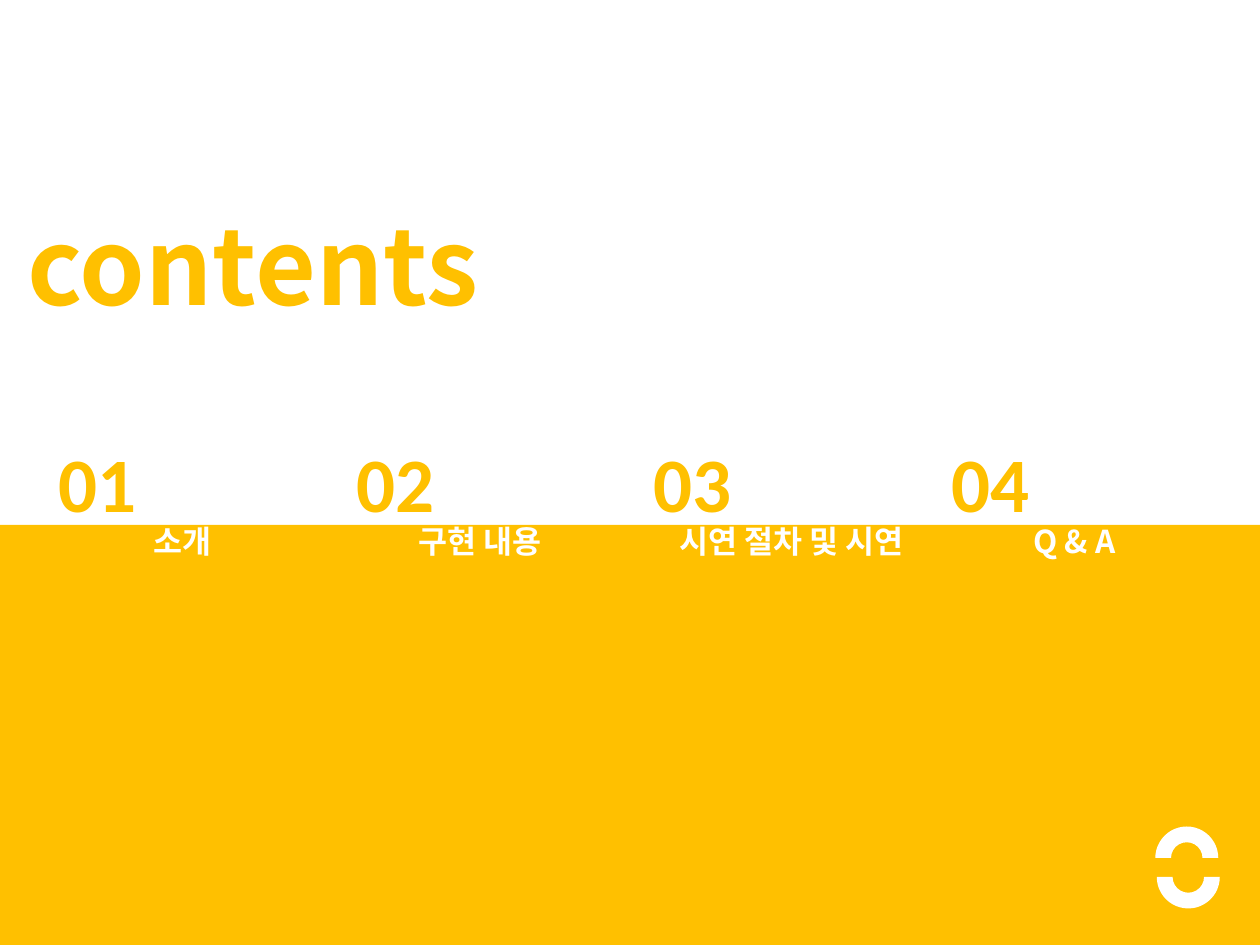
"""Build a contents slide with four numbered sections above a yellow band."""
from lxml import etree
from pptx import Presentation
from pptx.dml.color import RGBColor
from pptx.enum.shapes import MSO_SHAPE
from pptx.enum.text import MSO_ANCHOR, MSO_AUTO_SIZE, PP_ALIGN
from pptx.oxml.ns import qn
from pptx.util import Pt

RECTANGLE, BLOCK_ARC = MSO_SHAPE.RECTANGLE, MSO_SHAPE.BLOCK_ARC
LEFT, CENTER = PP_ALIGN.LEFT, PP_ALIGN.CENTER
TOP = MSO_ANCHOR.TOP
FIT_SHAPE = MSO_AUTO_SIZE.SHAPE_TO_FIT_TEXT
TITLE_ONLY = 5
WIDTH, HEIGHT = 720, 540
YELLOW, WHITE = "FFC000", "FFFFFF"
KOREAN, LATIN = "Noto Sans CJK KR", "Calibri"
COLUMN_STEP = 170
SECTIONS = [("소개", 143.3), ("구현 내용", 143.3), ("시연 절차 및 시연", 160), ("Q & A", 143.3)]


def color(hex_code):
    return RGBColor.from_string(hex_code)


class SlideBuilder:
    """Hold the slide and its style, with a method for each kind of element."""

    def __init__(self, slide):
        self.slide = slide

    def set_text(self, box, text, size, font, hex_code, align=LEFT):
        frame = box.text_frame
        frame.text = text
        frame.word_wrap = True
        frame.auto_size = FIT_SHAPE
        frame.vertical_anchor = TOP
        paragraph = frame.paragraphs[0]
        paragraph.alignment = align
        run = paragraph.runs[0]
        run.font.size = Pt(size)
        run.font.bold = True
        run.font.color.rgb = color(hex_code)
        run.font.name = font
        etree.SubElement(run._r.get_or_add_rPr(), qn("a:ea"), typeface=font)
        return paragraph

    def title(self, text, left, top, width, height):
        heading = self.slide.shapes.title
        heading.left, heading.top = Pt(left), Pt(top)
        heading.width, heading.height = Pt(width), Pt(height)
        self.set_text(heading, text, 60, KOREAN, YELLOW)

    def text(self, text, left, top, width, height, *style):
        box = self.slide.shapes.add_textbox(Pt(left), Pt(top), Pt(width), Pt(height))
        return self.set_text(box, text, *style)

    def shape(self, kind, left, top, width, height, hex_code, rotation=0):
        shape = self.slide.shapes.add_shape(kind, Pt(left), Pt(top), Pt(width), Pt(height))
        shape.shadow.inherit = False
        shape.fill.solid()
        shape.fill.fore_color.rgb = color(hex_code)
        shape.line.fill.background()
        shape.rotation = rotation

    def section(self, index, name, width):
        offset = index * COLUMN_STEP
        label = self.text(name, 32.4 + offset, 297.4, width, 26.6, 18, KOREAN, WHITE, CENTER)
        label.line_spacing = 0.9
        label.space_after = Pt(10)
        self.text(f"{index + 1:02}", 26.6 + offset, 245.5, 104.4, 60.5, 44, LATIN, YELLOW)


def main():
    deck = Presentation()
    deck.slide_width, deck.slide_height = Pt(WIDTH), Pt(HEIGHT)
    builder = SlideBuilder(deck.slides.add_slide(deck.slide_layouts[TITLE_ONLY]))
    builder.shape(RECTANGLE, 0, 300, WIDTH, 240, YELLOW)
    builder.title("contents", 8.6, 110.9, 385.2, 79.9)
    for index, (name, width) in enumerate(SECTIONS):
        builder.section(index, name, width)
    builder.shape(BLOCK_ARC, 660.2, 472.3, 36, 36, WHITE)
    builder.shape(BLOCK_ARC, 661, 483.1, 36, 36, WHITE, rotation=180)
    deck.save("out.pptx")


if __name__ == "__main__":
    main()
